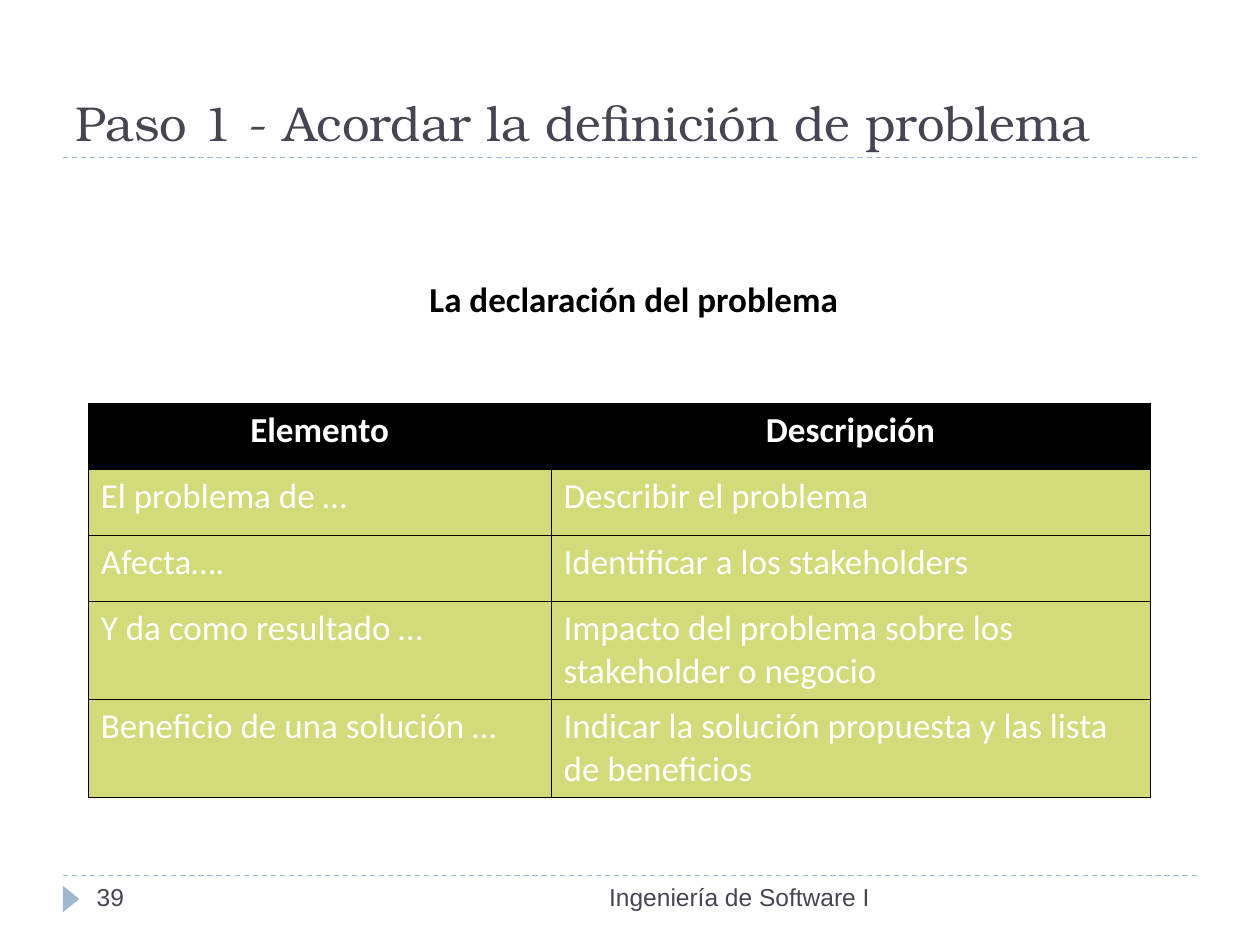
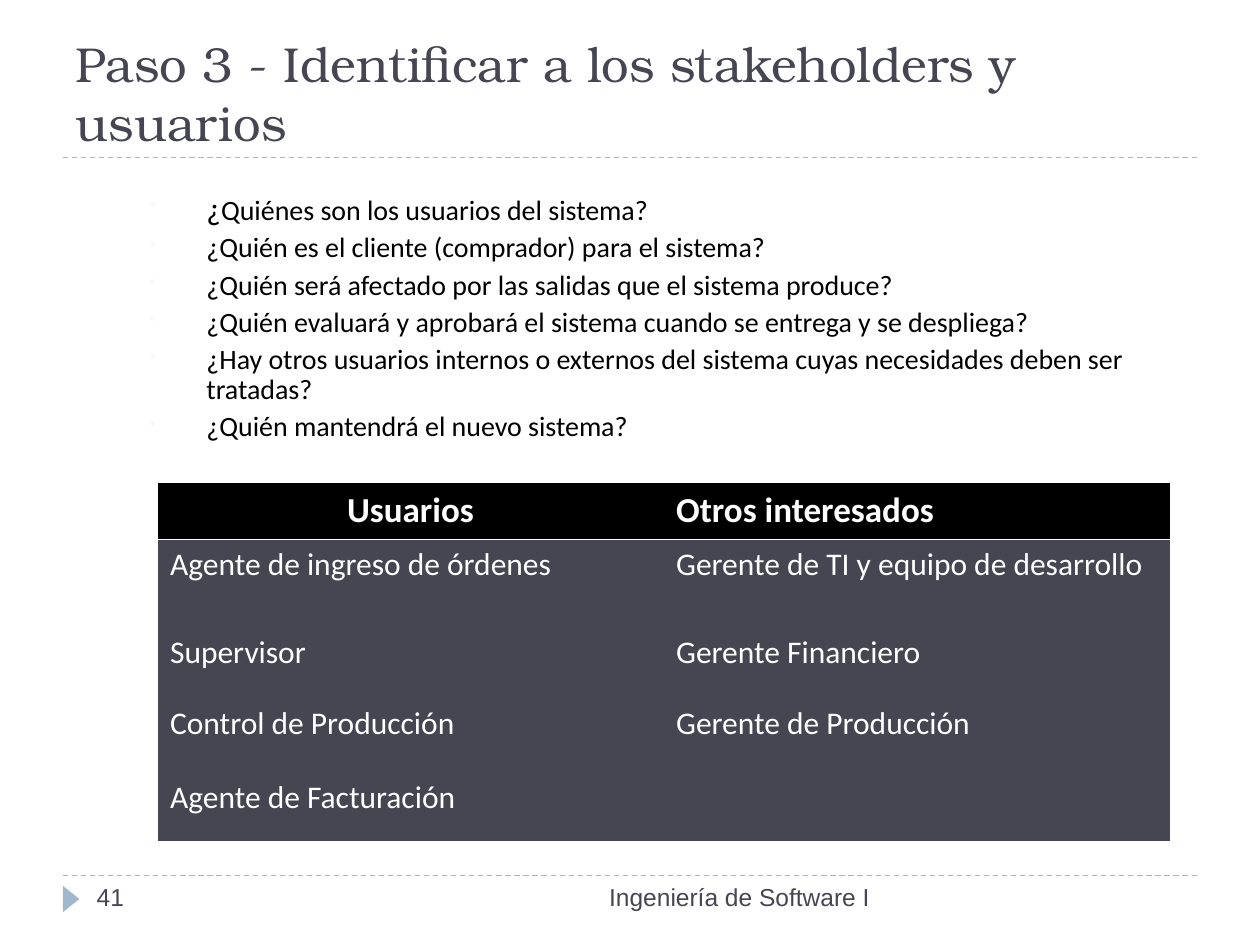
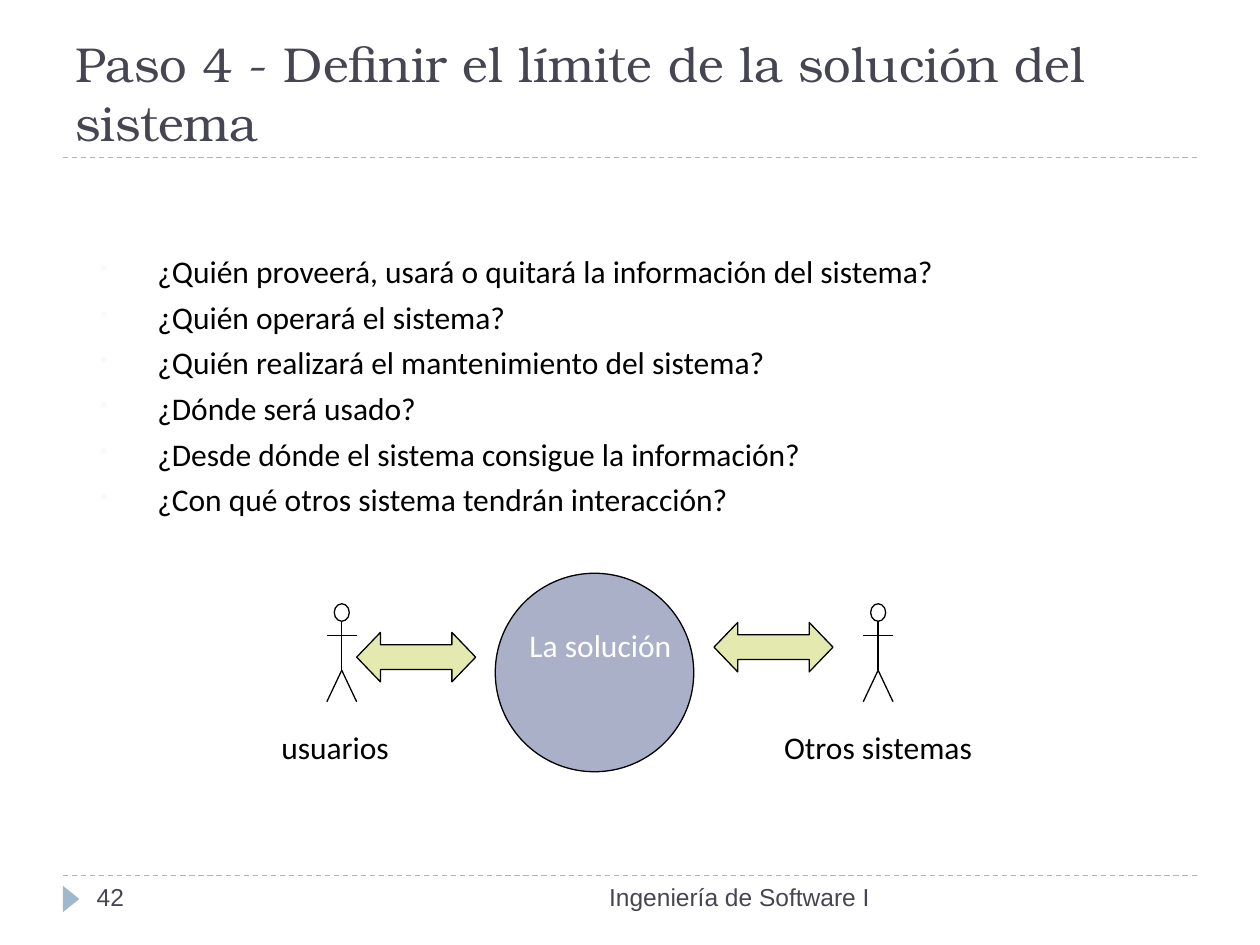
from lxml.etree import SubElement
from pptx import Presentation
from pptx.dml.color import RGBColor
from pptx.enum.dml import MSO_LINE
from pptx.enum.shapes import MSO_CONNECTOR, MSO_SHAPE
from pptx.enum.text import MSO_ANCHOR, MSO_AUTO_SIZE, PP_ALIGN
from pptx.oxml.ns import qn
from pptx.util import Pt

COLORS = {
    "ink": "464653", "rule": "9FB8CD", "black": "000000", "white": "FFFFFF",
    "lime": "D2DA7A", "pale_lime": "E4E9AF", "lavender": "AAB0C8", "bullet": "F9F9F9",
}
TITLE = {"name": "TeX Gyre Bonum", "size": Pt(28), "color": "ink"}
FOOTER = {"name": "Arial", "size": Pt(14), "color": "ink"}
BODY = {"name": "Calibri", "size": Pt(18), "color": "black"}
HEADING = BODY | {"size": Pt(20), "bold": True}
NO_STYLE_TABLE = "{2D5ABB26-0587-4C30-8999-92F81FD0307C}"


def rgb(name):
    return RGBColor.from_string(COLORS[name])


def pts(*values):
    return [Pt(v) for v in values]


def add_run(p, text, fmt):
    r = p.add_run()
    r.text = text
    for key, value in fmt.items():
        if key == "color":
            r.font.color.rgb = rgb(value)
        else:
            setattr(r.font, key, value)


def add_bullet(p):
    """Give the paragraph a small pale bullet with a hanging indent."""
    pPr = p._p.get_or_add_pPr()
    pPr.set("marL", str(Pt(43.2)))
    pPr.set("indent", str(-Pt(32.4)))
    color = SubElement(pPr, qn("a:buClr"))
    SubElement(color, qn("a:srgbClr"), val=COLORS["bullet"])
    SubElement(pPr, qn("a:buSzPct"), val="65000")
    SubElement(pPr, qn("a:buChar"), char="•")


def add_border(cell, side, color, width):
    """Set one side of a cell; without a colour the side has no line."""
    ln = SubElement(cell._tc.get_or_add_tcPr(), qn(f"a:ln{side}"), w=str(Pt(width)))
    if color:
        fill = SubElement(ln, qn("a:solidFill"))
        SubElement(fill, qn("a:srgbClr"), val=COLORS[color])
    else:
        SubElement(ln, qn("a:noFill"))


class Deck:
    def __init__(self):
        self.prs = Presentation()
        self.prs.slide_width, self.prs.slide_height = pts(720, 540)
        self.s = None

    def slide(self, title, number):
        """Start a slide with its title, rules and footer."""
        self.s = self.prs.slides.add_slide(self.prs.slide_layouts[5])
        for y in (500.4, 90):
            self.line(self.s.shapes, 36, y, 684, y, "rule").line.dash_style = MSO_LINE.DASH
        marker = self.shape(self.s.shapes, MSO_SHAPE.ISOSCELES_TRIANGLE,
                            33.1, 509, 15.1, 9.4, "rule", None)
        marker.rotation = 90

        sp = self.s.shapes.title
        sp.left, sp.top, sp.width, sp.height = pts(36, 12.2, 648, 77.8)
        tf = sp.text_frame
        frame_format = {"word_wrap": True, "auto_size": MSO_AUTO_SIZE.NONE,
                        "vertical_anchor": MSO_ANCHOR.BOTTOM}
        for key, value in frame_format.items():
            setattr(tf, key, value)
        tf.paragraphs[0].alignment = PP_ALIGN.LEFT
        add_run(tf.paragraphs[0], title, TITLE)

        self.text(number, 48.2, 500.4, 156, 28.8, FOOTER)
        self.text("Ingeniería de Software I", 228.2, 500.4, 276, 28.8, FOOTER, PP_ALIGN.RIGHT)

    def line(self, shapes, x1, y1, x2, y2, color="black"):
        c = shapes.add_connector(MSO_CONNECTOR.STRAIGHT, *pts(x1, y1, x2, y2))
        c.line.color.rgb = rgb(color)
        c.line.width = Pt(0.75)
        SubElement(c._element.spPr, qn("a:effectLst"))
        return c

    def shape(self, shapes, kind, x, y, w, h, fill=None, line="black"):
        sp = shapes.add_shape(kind, *pts(x, y, w, h))
        sp.shadow.inherit = False
        if fill:
            sp.fill.solid()
            sp.fill.fore_color.rgb = rgb(fill)
        else:
            sp.fill.background()
        if line:
            sp.line.color.rgb = rgb(line)
            sp.line.width = Pt(0.75)
        else:
            sp.line.fill.background()
        return sp

    def text(self, text, x, y, w, h, fmt=BODY, align=PP_ALIGN.LEFT):
        tf = self.s.shapes.add_textbox(*pts(x, y, w, h)).text_frame
        tf.word_wrap = True
        p = tf.paragraphs[0]
        p.alignment = align
        add_run(p, text, fmt)
        return tf

    def bullets(self, items, x, y, w, h, size, before, spacing):
        """Write a bulleted list; an item is a text or a list of (text, size) runs."""
        tf = self.s.shapes.add_textbox(*pts(x, y, w, h)).text_frame
        tf.word_wrap = True
        for i, item in enumerate(items):
            p = tf.add_paragraph() if i else tf.paragraphs[0]
            add_bullet(p)
            p.line_spacing = spacing
            if i:
                p.space_before = Pt(before)
            for text, run_size in [(item, size)] if isinstance(item, str) else item:
                add_run(p, text, BODY | {"size": Pt(run_size)})

    def table(self, rows, x, y, widths, heights, fill, size, head_aligns, borders):
        """Draw a table; borders(row) gives the (side, color, width) of its cells."""
        frame = self.s.shapes.add_table(len(rows), len(widths),
                                        *pts(x, y, sum(widths), sum(heights)))
        for style in frame._element.iter(qn("a:tableStyleId")):
            style.text = NO_STYLE_TABLE
        table = frame.table
        for col, width in zip(table.columns, widths):
            col.width = Pt(width)
        for i, (row, height) in enumerate(zip(rows, heights)):
            table.rows[i].height = Pt(height)
            for j, text in enumerate(row):
                cell = table.cell(i, j)
                for border in borders(i):
                    add_border(cell, *border)
                cell.fill.solid()
                cell.fill.fore_color.rgb = rgb(fill if i else "black")
                p = cell.text_frame.paragraphs[0]
                p.alignment = PP_ALIGN.LEFT if i else head_aligns[j]
                fmt = BODY | {"size": Pt(size)} if i else HEADING
                if text:
                    add_run(p, text, fmt | {"color": "white"})

    def actor(self, x, label, label_center):
        """Draw a stick figure centred on x with its label below."""
        top, neck, arms, hip, feet, reach = 345, 355, 363, 383, 401, 8.5
        label_width = 144
        shapes = self.s.shapes.add_group_shape().shapes
        self.shape(shapes, MSO_SHAPE.OVAL, x - 4.3, top, 8.6, neck - top)
        self.line(shapes, x, neck, x, hip)
        self.line(shapes, x - reach, arms, x + reach, arms)
        for dx in (reach, -reach):
            self.line(shapes, x, hip, x + dx, feet)
        self.text(label, label_center - label_width / 2, 412.6, label_width, 29,
                  align=PP_ALIGN.CENTER)

    def double_arrow(self, x, y):
        sp = self.shape(self.s.shapes, MSO_SHAPE.LEFT_RIGHT_ARROW, x, y, 68, 28.3, "pale_lime")
        sp.adjustments[0], sp.adjustments[1] = 0.5, 0.48


def problem_slide(deck):
    deck.slide("Paso 1 - Acordar la definición de problema", "39")
    rows = [
        ("Elemento", "Descripción"),
        ("El problema de …", "Describir el problema"),
        ("Afecta….", "Identificar a los stakeholders"),
        ("Y da como resultado …", "Impacto del problema sobre los stakeholder o negocio"),
        ("Beneficio de una solución …", "Indicar la solución propuesta y las lista de beneficios"),
    ]
    grid = [(side, "black", 0.23) for side in "LRTB"]
    deck.table(rows, 50.4, 230.4, (264.5, 342.3), (37.7, 37.7, 37.7, 56.2, 56.2), "lime", 20,
               (PP_ALIGN.CENTER, PP_ALIGN.CENTER), lambda row: grid)
    tf = deck.text("La declaración del problema", 95.8, 157.7, 532.8, 31, HEADING,
                   PP_ALIGN.CENTER)
    tf.paragraphs[0].line_spacing = 0.9


def stakeholders_slide(deck):
    deck.slide("Paso 3 - Identificar a los stakeholders y usuarios", "41")
    questions = [
        [("¿", 18), ("Quiénes son los usuarios del sistema?", 16)],
        "¿Quién es el cliente (comprador) para el sistema?",
        "¿Quién será afectado por las salidas que el sistema produce?",
        "¿Quién evaluará y aprobará el sistema cuando se entrega y se despliega?",
        "¿Hay otros usuarios internos o externos del sistema cuyas necesidades deben ser tratadas?",
        "¿Quién mantendrá el nuevo sistema?",
    ]
    deck.bullets(questions, 67.7, 106.6, 635, 118.8, 16, 4, 0.9)
    rows = [
        ("Usuarios", "Otros interesados"),
        ("Agente de ingreso de órdenes", "Gerente de TI y equipo de desarrollo"),
        ("Supervisor", "Gerente Financiero"),
        ("Control de Producción", "Gerente de Producción"),
        ("Agente de Facturación", ""),
    ]
    head_rule = {(0, "B"), (1, "T")}

    def borders(row):
        return [(side, "white" if (row, side) in head_rule else None, 0.96) for side in "LRTB"]

    deck.table(rows, 90, 275.8, (289.2, 289.2), (32.4, 50.4, 40.5, 42, 39.6), "ink", 18,
               (PP_ALIGN.CENTER, PP_ALIGN.LEFT), borders)


def boundary_slide(deck):
    deck.slide("Paso 4 - Definir el límite de la solución del sistema", "42")
    questions = [
        "¿Quién proveerá, usará o quitará la información del sistema?",
        "¿Quién operará el sistema?",
        "¿Quién realizará el mantenimiento del sistema?",
        "¿Dónde será usado?",
        "¿Desde dónde el sistema consigue la información?",
        "¿Con qué otros sistema tendrán interacción?",
    ]
    deck.bullets(questions, 39.6, 140.4, 612.7, 155.5, 18, 4.5, 1.0)
    deck.shape(deck.s.shapes, MSO_SHAPE.OVAL, 283, 327.6, 113.4, 113.4, "lavender")
    deck.text("La solución", 294.5, 354.2, 97.2, 22.3, BODY | {"color": "white"},
              PP_ALIGN.CENTER)
    deck.actor(195.3, "usuarios", 191.5)
    deck.actor(501.8, "Otros sistemas", 501.8)
    deck.double_arrow(203.8, 361.4)
    deck.double_arrow(408, 355.7)


def main():
    deck = Deck()
    problem_slide(deck)
    stakeholders_slide(deck)
    boundary_slide(deck)
    deck.prs.save("out.pptx")


if __name__ == "__main__":
    main()
